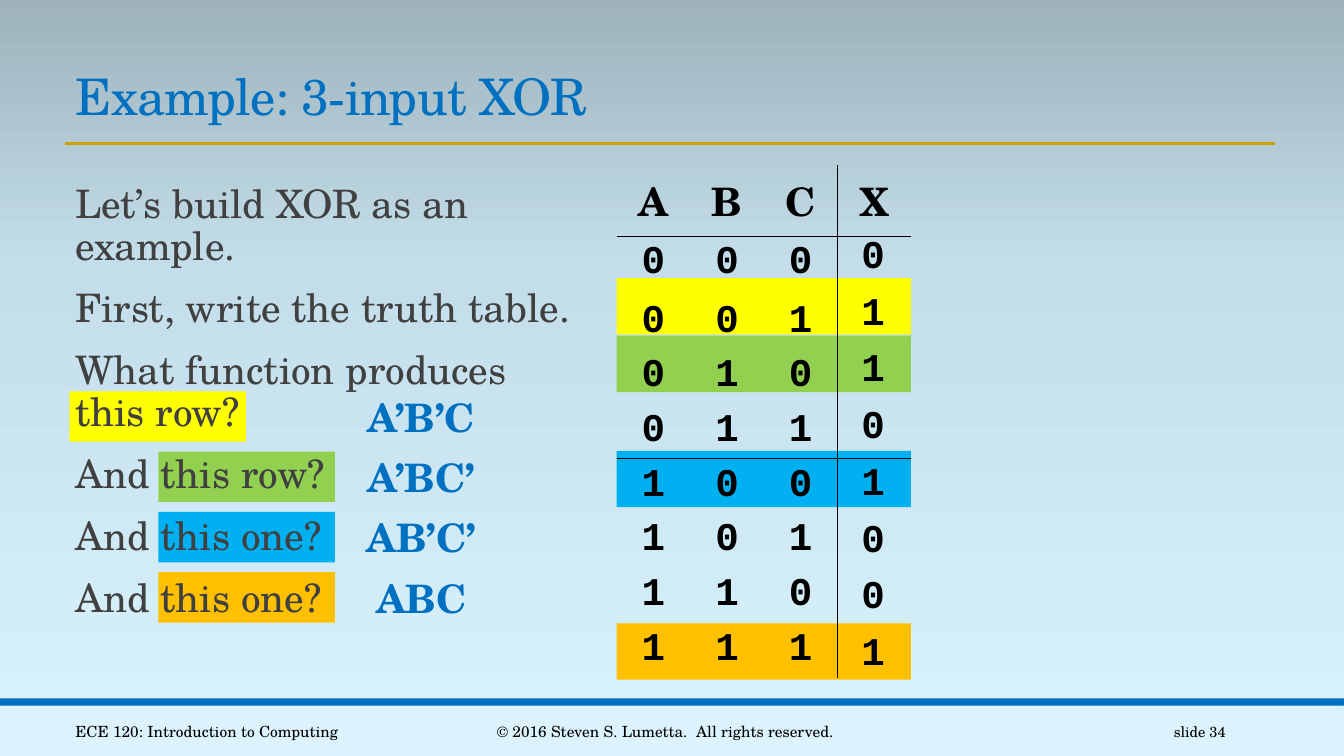
from copy import deepcopy
from itertools import product

from pptx import Presentation
from pptx import util as u
from pptx.dml.color import RGBColor
from pptx.enum import shapes, text
from pptx.oxml import parse_xml
from pptx.oxml.ns import nsdecls

Cm, Pt = u.Cm, u.Pt
SERIF, MONO = "TeX Gyre Schola", "Courier New"
COLORS = {
    "blue": "0070C0", "gold": "D09E00", "pale": "DCF3FD",
    "gray": "404040", "black": "000000",
    "yellow": "FFFF00", "green": "92D050", "sky": "00B0F0", "orange": "FFC000",
}
BACKGROUND = [(0, "9DB2BA"), (0.35, "C3DEEA"), (1, "DAF4FF")]

TITLE = "Example: 3-input XOR"
BODY = [
    "Let’s build XOR as an \vexample.",
    "First, write the truth table.",
    "What function produces\vthis row?",
    "And this row?",
    "And this one?",
    "And this one?",
]
HEADERS = ["A", "B", "C", "X"]
INPUTS = list(product((0, 1), repeat=3))
OUTPUTS = [str(sum(bits) % 2) for bits in INPUTS]
# colour, left edge of the highlighted words, minterm, row of the truth table
MINTERMS = [
    ("yellow", 1.75, "A’B’C", 1),
    ("green", 3.99, "A’BC’", 2),
    ("sky", 3.99, "AB’C’", 4),
    ("orange", 3.99, "ABC", 7),
]
# text, left, width, size, alignment
FOOTERS = [
    ("ECE 120: Introduction to Computing", 1.65, 8.26, 11, "LEFT"),
    ("© 2016 Steven S. Lumetta.  All rights reserved.", 10.24, 13.06, 11, "CENTER"),
    ("slide 34", 27.51, 3.63, 10.5, "RIGHT"),
]

SLIDE_W, SLIDE_H = 33.87, 19.05
TABLE_X, TABLE_Y, COLUMN_W = 15.54, 4.17, 1.855
ROW_HEIGHTS = [1.78, 1.47] + [1.38] * 7
MINTERM_STEP, BAND_STEP = 1.52, 1.45


def rgb(name):
    return RGBColor.from_string(COLORS[name])


def write(frame, lines, size=28, font=SERIF, color="black", bold=False,
          align="LEFT", spacing=None, before=None, after=None):
    """Put one paragraph per line into a text frame."""
    frame.text = "\n".join(lines)
    for para in frame.paragraphs:
        para.alignment = getattr(text.PP_ALIGN, align)
        para.line_spacing, para.space_before, para.space_after = spacing, before, after
        for span in para.runs:
            span.font.size, span.font.name, span.font.bold = Pt(size), font, bold
            span.font.color.rgb = rgb(color)


def add_text(page, lines, x, y, w, h, wrap=True, anchor="TOP", **style):
    frame = page.shapes.add_textbox(Cm(x), Cm(y), Cm(w), Cm(h)).text_frame
    frame.word_wrap = wrap
    frame.vertical_anchor = getattr(text.MSO_ANCHOR, anchor)
    write(frame, lines, **style)


def add_block(page, color, x, y, w, h):
    block = page.shapes.add_shape(shapes.MSO_SHAPE.RECTANGLE, Cm(x), Cm(y), Cm(w), Cm(h))
    block.shadow.inherit = False
    block.fill.solid()
    block.fill.fore_color.rgb = rgb(color)
    block.line.fill.background()


def place_placeholder(page, box, x, y, w, h):
    """Position a placeholder in front of everything drawn so far."""
    box.left, box.top, box.width, box.height = Cm(x), Cm(y), Cm(w), Cm(h)
    page.shapes.element.append(box.element)
    frame = box.text_frame
    frame.word_wrap = True
    frame.auto_size = text.MSO_AUTO_SIZE.NONE
    return frame


def add_background(page):
    fill = page.background.fill
    fill.gradient()
    fill.gradient_angle = 270
    first = page.element.xpath(".//a:gs")[0]
    first.addnext(deepcopy(first))
    for stop, (position, color) in zip(fill.gradient_stops, BACKGROUND):
        stop.position = position
        stop.color.rgb = RGBColor.from_string(color)


def add_frame(page):
    add_block(page, "pale", -0.15, 17.78, SLIDE_W, 1.27)
    add_block(page, "blue", 0, 17.6, SLIDE_W, 0.18)
    rule = page.shapes.add_connector(
        shapes.MSO_CONNECTOR.STRAIGHT, Cm(1.65), Cm(3.61), Cm(32.13), Cm(3.61))
    rule.line.color.rgb, rule.line.width = rgb("gold"), Pt(2)
    rule.element.spPr.append(parse_xml(f"<a:effectLst {nsdecls('a')}/>"))
    for label, x, w, size, align in FOOTERS:
        add_text(page, [label], x, 17.93, w, 1.02, anchor="MIDDLE", size=size, align=align)


def add_borders(cell, sides):
    for index, side in enumerate(sides):
        cell._tc.get_or_add_tcPr().insert(index, parse_xml(
            f'<a:ln{side} {nsdecls("a")} w="12700"><a:solidFill>'
            f'<a:srgbClr val="{COLORS["black"]}"/></a:solidFill></a:ln{side}>'))


def add_truth_table(page):
    rows = [HEADERS] + [[*map(str, bits), ""] for bits in INPUTS]
    holder = page.shapes.add_table(
        len(rows), len(HEADERS), Cm(TABLE_X), Cm(TABLE_Y),
        Cm(COLUMN_W * len(HEADERS)), Cm(sum(ROW_HEIGHTS)))
    table = holder.table
    table.first_row = table.horz_banding = False
    no_grid = "{2D5ABB26-0587-4C30-8999-92F81FD0307C}"
    holder.element.xpath(".//a:tableStyleId")[0].text = no_grid
    for column in table.columns:
        column.width = Cm(COLUMN_W)
    for r, values in enumerate(rows):
        table.rows[r].height = Cm(ROW_HEIGHTS[r])
        for c, value in enumerate(values):
            cell = table.cell(r, c)
            cell.fill.background()
            cell.vertical_anchor = text.MSO_ANCHOR.TOP if r else text.MSO_ANCHOR.MIDDLE
            write(cell.text_frame, [value], font=MONO if r else SERIF,
                  bold=True, align="CENTER")
            add_borders(cell, ["R"] * (c == 2) + ["B"] * (r in (0, 4)))
    add_text(page, OUTPUTS, 21.46, 5.41, 2.46, 11.89,
             font=MONO, bold=True, spacing=Pt(40.5))


def main():
    deck = Presentation()
    deck.slide_width, deck.slide_height = Cm(SLIDE_W), Cm(SLIDE_H)
    page = deck.slides.add_slide(deck.slide_layouts[1])
    title, body = page.placeholders
    add_background(page)
    add_frame(page)

    for i, (color, x, _, row) in enumerate(MINTERMS):
        add_block(page, color, x, 9.86 + i * MINTERM_STEP, 4.45, 1.27)
        add_block(page, color, TABLE_X, 7.01 + (row - 1) * BAND_STEP, 7.42, 1.42)

    frame = place_placeholder(page, title, 1.65, 1.5, 30.51, 1.8)
    frame.vertical_anchor = text.MSO_ANCHOR.BOTTOM
    write(frame, [TITLE], size=36, color="blue", spacing=0.85)
    frame.paragraphs[0].runs[0].font._element.set("spc", "-50")

    frame = place_placeholder(page, body, 1.65, 4.52, 21.64, 11.79)
    frame.margin_left = frame.margin_right = 0
    write(frame, BODY, color="gray", spacing=0.9, before=Pt(12), after=Pt(2))
    for para in frame.paragraphs:
        props = para._p.get_or_add_pPr()
        props.set("marL", str(Cm(0.25)))
        props.set("indent", "0")
        props.append(parse_xml(f"<a:buNone {nsdecls('a')}/>"))

    add_truth_table(page)
    for i, (_, _, minterm, _) in enumerate(MINTERMS):
        add_text(page, [minterm], 8.97, 9.78 + i * MINTERM_STEP, 3.3, 1.45,
                 wrap=False, color="blue", bold=True, align="CENTER")
    deck.save("out.pptx")


if __name__ == "__main__":
    main()
